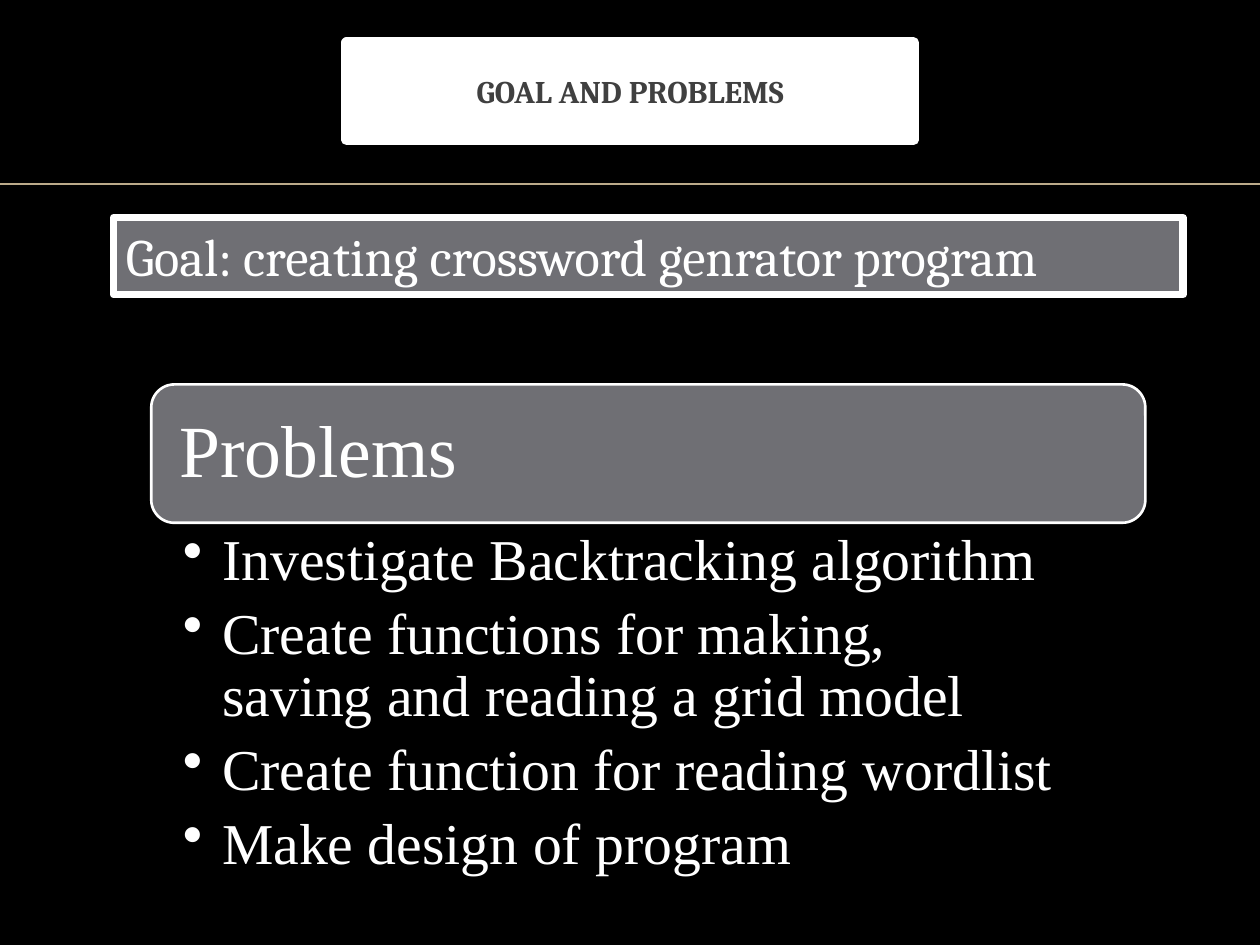
"""Build the goal and problems slide."""
from dataclasses import dataclass

from lxml.etree import SubElement
from pptx import Presentation
from pptx.dml.color import RGBColor
from pptx.enum.shapes import MSO_CONNECTOR, MSO_SHAPE
from pptx.enum.text import MSO_ANCHOR as Anchor, PP_ALIGN as Align
from pptx.oxml.ns import qn
from pptx.util import Cm, Pt

COLORS = {
    "background": "000000",
    "rule": "BBAA8A",
    "panel": "6F6F74",
    "white": "FFFFFF",
    "title": "404040",
}
SERIF = "Times New Roman"
HEADING = "Cambria"
NBSP = chr(160)
PROBLEMS = [
    "Investigate~Backtracking~algorithm",
    "Create~functions~for~making, saving~and~reading~a grid~model",
    "Create~function~for reading~wordlist",
    "Make~design~of program",
]


@dataclass
class Box:
    """A filled, outlined box holding one line of text; lengths in cm."""
    text: str
    at: tuple[float, float, float, float]
    line_width: float
    size: float
    font: str = HEADING
    fill: str = "panel"
    color: str = "white"
    bold: bool = False
    align: Align = Align.LEFT
    anchor: Anchor = Anchor.TOP
    shape: MSO_SHAPE = MSO_SHAPE.RECTANGLE
    insets: tuple[float, float, float, float] = (0.25, 0.13, 0.25, 0.13)
    line_spacing: float = 1.0
    space_before: float = 0


BOXES = [
    Box("Problems", (3.05, 7.75, 20.04, 2.79), 1.5, 42, font=SERIF,
        anchor=Anchor.MIDDLE, shape=MSO_SHAPE.ROUNDED_RECTANGLE,
        insets=(0.43,) * 4, line_spacing=0.9),
    Box("GOAL AND PROBLEMS", (6.99, 0.86, 11.43, 1.96), 6, 18, fill="white",
        color="title", bold=True, align=Align.CENTER, anchor=Anchor.MIDDLE,
        space_before=4),
    Box("Goal: creating crossword genrator program",
        (2.29, 4.39, 21.56, 1.55), 4.25, 30),
]


def rgb(name: str) -> RGBColor:
    """Look up a named colour."""
    return RGBColor.from_string(COLORS[name])


def set_frame(tf, insets: tuple, anchor: Anchor) -> None:
    """Set wrapping, margins in cm and vertical anchor."""
    tf.word_wrap = True
    tf.vertical_anchor = anchor
    tf.margin_left, tf.margin_top, tf.margin_right, tf.margin_bottom = map(Cm, insets)


def set_font(p, name: str, size: float, color: str, bold: bool = False) -> None:
    """Set the font of a whole paragraph."""
    p.font.name = name
    p.font.size = Pt(size)
    p.font.bold = bold
    p.font.color.rgb = rgb(color)


def add_box(s, box: Box) -> None:
    """Draw one box with its text."""
    sp = s.shapes.add_shape(box.shape, *map(Cm, box.at))
    sp.shadow.inherit = False
    sp.fill.solid()
    sp.fill.fore_color.rgb = rgb(box.fill)
    sp.line.color.rgb = rgb("white")
    sp.line.width = Pt(box.line_width)
    set_frame(sp.text_frame, box.insets, box.anchor)
    p = sp.text_frame.paragraphs[0]
    p.text = box.text
    p.alignment = box.align
    p.line_spacing = box.line_spacing
    p.space_before = Pt(box.space_before)
    set_font(p, box.font, box.size, box.color, box.bold)


def add_rule(s, y: float, width: int) -> None:
    """Draw the thin rule across the slide."""
    line = s.shapes.add_connector(MSO_CONNECTOR.STRAIGHT, 0, Cm(y), width, Cm(y))
    line.line.color.rgb = rgb("rule")
    line.line.width = Pt(1)
    SubElement(line._element.spPr, qn("a:effectLst"))


def add_bullets(s, items: list[str]) -> None:
    """Draw the bulleted list, where ~ marks a non-breaking space."""
    sp = s.shapes.add_textbox(Cm(3.05), Cm(10.54), Cm(20.04), Cm(7.59))
    tf = sp.text_frame
    set_frame(tf, (0.64, 0.15, 0.83, 0.15), Anchor.TOP)
    for i, item in enumerate(items):
        p = tf.add_paragraph() if i else tf.paragraphs[0]
        p.text = item.replace("~", NBSP)
        p.level = 1
        p.line_spacing = 0.9
        p.space_after = Pt(6.6)
        set_font(p, SERIF, 33, "white")
        pPr = p._p.get_or_add_pPr()
        pPr.set("marL", str(Cm(0.79)))
        pPr.set("indent", str(Cm(-0.79)))
        bullet = pPr.makeelement(qn("a:buChar"), {"char": "•"})
        pPr.find(qn("a:spcAft")).addnext(bullet)


def main() -> None:
    """Build and save the presentation."""
    prs = Presentation()
    prs.slide_width, prs.slide_height = Cm(25.4), Cm(19.05)
    s = prs.slides.add_slide(prs.slide_layouts[6])
    s.background.fill.solid()
    s.background.fill.fore_color.rgb = rgb("background")
    add_rule(s, 3.71, prs.slide_width)
    for box in BOXES:
        add_box(s, box)
    add_bullets(s, PROBLEMS)
    prs.save("out.pptx")


if __name__ == "__main__":
    main()
